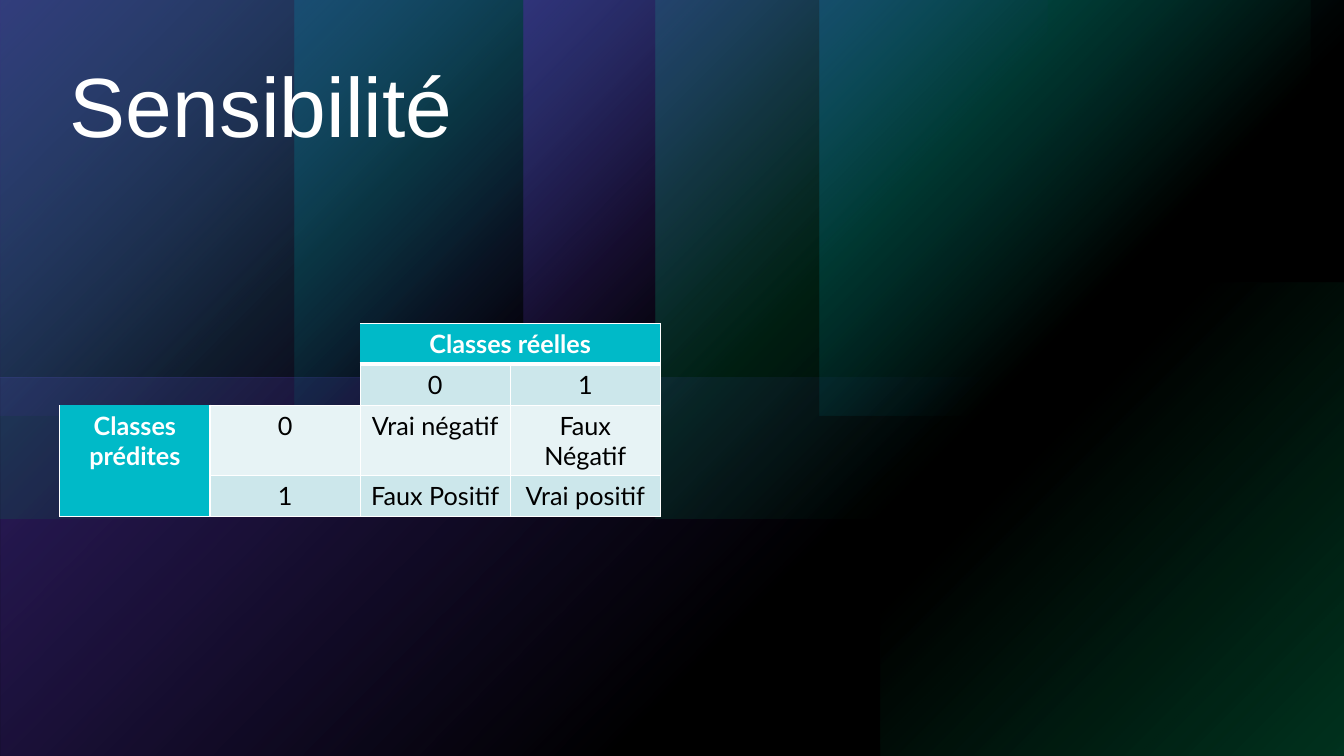
import pptx
import pptx.dml.color
import pptx.enum.shapes
import pptx.enum.text
import pptx.oxml
import pptx.oxml.ns
import pptx.util

PX = 9525
THEME = {
    "black": "000000", "white": "FFFFFF", "violet": "794DFF", "green": "00D17D",
    "teal": "00BAC8", "pale": "CCE7EB", "paler": "E7F3F5",
    "title_font": "Arial", "table_font": "Lato", "title_size": 60, "table_size": 18,
}
NS = pptx.oxml.ns.nsdecls("a")
RECT = pptx.enum.shapes.MSO_SHAPE.RECTANGLE
RGB = pptx.dml.color.RGBColor.from_string


def add_panel(slide, box, fill_xml, rotation=0, flip=None):
    """Add a translucent rectangle that covers box once it is rotated."""
    left, top, width, height = box
    if rotation % 180:
        left, top = left + (width - height) / 2, top + (height - width) / 2
        width, height = height, width
    panel = slide.shapes.add_shape(RECT, *(round(v * PX) for v in (left, top, width, height)))
    panel.shadow.inherit = False
    panel.line.fill.background()
    panel.rotation = rotation
    if flip:
        panel.element.spPr.xfrm.set(flip, "1")
    panel.fill.background()
    no_fill = panel.element.spPr.find(pptx.oxml.ns.qn("a:noFill"))
    panel.element.spPr.replace(no_fill, pptx.oxml.parse_xml(fill_xml))
    return panel


def add_run(paragraph, text, font, size, color, bold=False):
    run = paragraph.add_run()
    run.text = text
    run.font.name = font
    run.font.size = pptx.util.Pt(size)
    run.font.bold = bold
    run.font.color.rgb = RGB(THEME[color])


prs = pptx.Presentation()
prs.slide_width, prs.slide_height = 1280 * PX, 720 * PX
layout = prs.slide_layouts[5]
slide = prs.slides.add_slide(layout)
slide.background.fill.solid()
slide.background.fill.fore_color.rgb = RGB(THEME["black"])

# Background glows: box, colour, (position, opacity) stops, bright corner, rotation, flip
TOP_LEFT = 'r="100000" b="100000"'
BOTTOM_RIGHT = 'l="100000" t="100000"'
FADE = [(0, 60), (60, 0)]
GREEN_FADE = [(0, 60), (63, 0)]
glows = [
    ((839, 269, 441, 451), "green", [(0, 40), (34, 20), (65, 0)], BOTTOM_RIGHT, 0, None),
    ((0, 0, 1202, 360), "violet", FADE, TOP_LEFT, 270, None),
    ((0, 360, 1202, 360), "violet", FADE, TOP_LEFT, 270, "flipH"),
    ((0, 0, 624, 494), "green", GREEN_FADE, TOP_LEFT, 90, None),
    ((624, 0, 624, 494), "green", GREEN_FADE, TOP_LEFT, 90, "flipV"),
    ((781, 0, 499, 396), "teal", FADE, TOP_LEFT, 0, None),
    ((281, 0, 499, 396), "teal", FADE, TOP_LEFT, 0, "flipH"),
    ((499, 0, 499, 396), "violet", FADE, TOP_LEFT, 0, None),
    ((0, 0, 499, 396), "violet", FADE, TOP_LEFT, 0, "flipH"),
]
panels = []
for box, color, stops, corner, rotation, flip in glows:
    stop_xml = "".join(
        f'<a:gs pos="{position * 1000}"><a:srgbClr val="{THEME[color]}">'
        f'<a:alpha val="{opacity * 1000}"/></a:srgbClr></a:gs>'
        for position, opacity in stops)
    gradient = (f'<a:gradFill {NS} rotWithShape="1"><a:gsLst>{stop_xml}</a:gsLst>'
                f'<a:path path="circle"><a:fillToRect {corner}/></a:path></a:gradFill>')
    panels.append(add_panel(slide, box, gradient, rotation, flip))
veil = (f'<a:solidFill {NS}><a:srgbClr val="{THEME["black"]}">'
        '<a:alpha val="40000"/></a:srgbClr></a:solidFill>')
panels.append(add_panel(slide, (0, 0, 1280, 720), veil))

# The decoration belongs to the layout, where its ids must stay unique
for number, panel in enumerate(panels, start=100):
    panel.element.nvSpPr.cNvPr.set("id", str(number))
    layout.shapes.element.append(panel.element)

title = slide.shapes.title
title.left, title.top, title.width, title.height = (v * PX for v in (57, 57, 1164, 127))
title.text_frame.word_wrap = True
title.text_frame.auto_size = pptx.enum.text.MSO_AUTO_SIZE.NONE
title.text_frame.vertical_anchor = pptx.enum.text.MSO_ANCHOR.TOP
heading = title.text_frame.paragraphs[0]
heading.alignment = pptx.enum.text.PP_ALIGN.LEFT
heading.line_spacing = 0.9
add_run(heading, "Sensibilité", THEME["title_font"], THEME["title_size"], "white")

# Confusion matrix
COLUMN_WIDTH = 143
ROW_HEIGHTS = [39, 39, 67, 39]
labels = [
    ["", "", "Classes réelles", ""],
    ["", "", "0", "1"],
    ["Classes prédites", "0", "Vrai négatif", "Faux Négatif"],
    ["", "1", "Faux Positif", "Vrai positif"],
]
fills = [
    [None, None, "teal", "teal"],
    [None, None, "pale", "pale"],
    ["teal", "paler", "paler", "paler"],
    ["teal", "pale", "pale", "pale"],
]
frame = slide.shapes.add_table(4, 4, 57 * PX, 308 * PX, 4 * COLUMN_WIDTH * PX,
                               sum(ROW_HEIGHTS) * PX)
matrix = frame.table
matrix.first_row = matrix.horz_banding = False
NO_STYLE_NO_GRID = "{2D5ABB26-0587-4C30-8999-92F81FD0307C}"
frame.element.xpath(".//a:tableStyleId")[0].text = NO_STYLE_NO_GRID
for column in matrix.columns:
    column.width = COLUMN_WIDTH * PX
for row, height in zip(matrix.rows, ROW_HEIGHTS):
    row.height = height * PX
matrix.cell(0, 2).merge(matrix.cell(0, 3))
matrix.cell(2, 0).merge(matrix.cell(3, 0))

for r, row_labels in enumerate(labels):
    for c, label in enumerate(row_labels):
        cell, color = matrix.cell(r, c), fills[r][c]
        paragraph = cell.text_frame.paragraphs[0]
        paragraph.alignment = pptx.enum.text.PP_ALIGN.CENTER
        if label:
            is_header = color == "teal"
            add_run(paragraph, label, THEME["table_font"], THEME["table_size"],
                    "white" if is_header else "black", is_header)
        if color is None:
            cell.fill.background()
            continue
        cell.fill.solid()
        cell.fill.fore_color.rgb = RGB(THEME[color])
        widths = {"L": 1, "R": 1, "T": 1, "B": 1}
        if r == 0:
            widths = {"R": 1, "T": 1, "B": 3}
        elif r == 1:
            widths["T"] = 3
        elif c == 0:
            del widths["T"]
        for index, (side, points) in enumerate(widths.items()):
            border = pptx.oxml.parse_xml(
                f'<a:ln{side} {NS} w="{points * 12700}"><a:solidFill>'
                f'<a:srgbClr val="{THEME["white"]}"/></a:solidFill></a:ln{side}>')
            cell.fill.fore_color  # fill stays after the borders
            cell_properties = frame.element.xpath(".//a:tr")[r].xpath("./a:tc")[c].tcPr
            cell_properties.insert(index, border)

prs.save("out.pptx")
